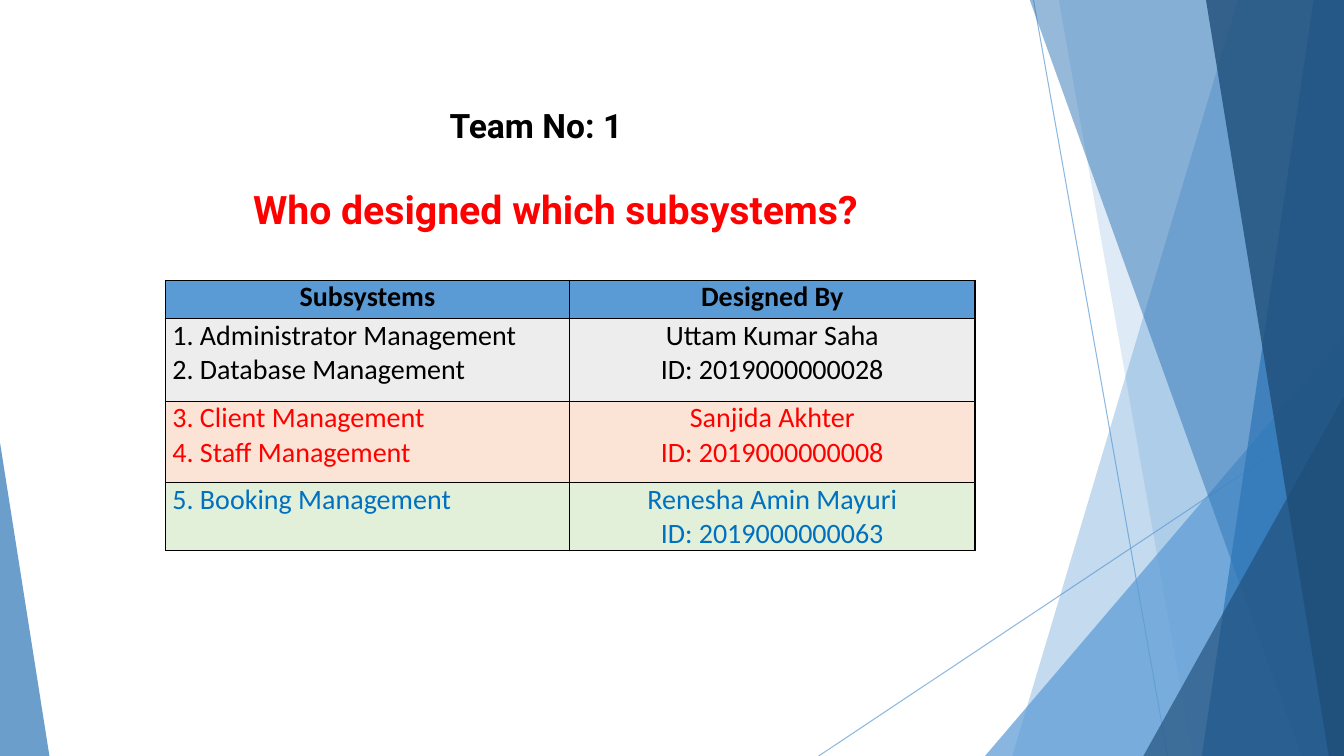
"""Build the slide that shows which team member designed which subsystems."""
from lxml import etree
from pptx import Presentation
from pptx.dml.color import RGBColor
from pptx.enum.shapes import MSO_CONNECTOR, MSO_SHAPE
from pptx.enum.text import MSO_ANCHOR, MSO_AUTO_SIZE, PP_ALIGN
from pptx.oxml.ns import qn
from pptx.util import Pt

PX = 9144
WIDTH, HEIGHT = 1333, 750
TITLE_ONLY = 5
STRAIGHT = MSO_CONNECTOR.STRAIGHT
TRIANGLE = MSO_SHAPE.ISOSCELES_TRIANGLE
LEFT, CENTER = PP_ALIGN.LEFT, PP_ALIGN.CENTER
TOP = MSO_ANCHOR.TOP
GROW = MSO_AUTO_SIZE.SHAPE_TO_FIT_TEXT


def paint(fill, color, opacity=100):
    fill.solid()
    fill.fore_color.rgb = RGBColor.from_string(color)
    if opacity < 100:
        node = fill.fore_color._xFill.find(qn("a:srgbClr"))
        etree.SubElement(node, qn("a:alpha"), val=str(opacity * 1000))


def write(frame, text, size=20, font="Calibri", color="000000", bold=False, align=LEFT):
    frame.vertical_anchor = TOP
    for index, line in enumerate(text.split("\n")):
        para = frame.add_paragraph() if index else frame.paragraphs[0]
        para.alignment = align
        span = para.add_run()
        span.text = line
        span.font.size = Pt(size)
        span.font.name = font
        span.font.bold = bold
        paint(span.font.fill, color)


deck = Presentation()
deck.slide_width, deck.slide_height = WIDTH * PX, HEIGHT * PX
page = deck.slides.add_slide(deck.slide_layouts[TITLE_ONLY])
shapes = page.shapes

for ends in [(1025, 0, 1158, 750), (1333, 403, 812, 750)]:
    ray = shapes.add_connector(STRAIGHT, *[end * PX for end in ends])
    ray.line.width = Pt(0.75)
    paint(ray.line.fill, "5B9BD5", 70)
    etree.SubElement(ray._element.spPr, qn("a:effectLst"))

facets = [
    ("band", (1228, 1004), "5B9BD5", 36),
    ("band", (1050, 1183), "5B9BD5", 20),
    ("triangle", (977, 333, 356, 417, 1), "5B9BD5", 72),
    ("band", (1021, 1291), "2E75B6", 50),
    ("band", (1303, 1192), "2E75B6", 70),
    ("band", (1196, 1318), "1F4E79", 80),
    ("triangle", (1134, 393, 199, 357, 1), "1F4E79", 66),
    ("triangle", (0, 439, 49, 311, 0), "2E75B6", 70),
]
for kind, place, color, opacity in facets:
    if kind == "band":
        top_x, bottom_x = place
        builder = shapes.build_freeform(top_x, -1, scale=PX)
        builder.add_line_segments([(WIDTH, -1), (WIDTH, HEIGHT), (bottom_x, HEIGHT)])
        facet = builder.convert_to_shape()
    else:
        *bounds, apex = place
        facet = shapes.add_shape(TRIANGLE, *[length * PX for length in bounds])
        facet.adjustments[0] = apex
    facet.shadow.inherit = False
    facet.line.fill.background()
    paint(facet.fill, color, opacity)

table_rows = [
    (38, "5B9BD5", "000000", "Subsystems", "Designed By"),
    (82, "EDEDED", "000000", "1. Administrator Management\n2. Database Management",
     "Uttam Kumar Saha\nID: 2019000000028"),
    (81, "FBE4D5", "FF0000", "3. Client Management\n4. Staff Management",
     "Sanjida Akhter\nID: 2019000000008"),
    (67, "E2EFD9", "0070C0", "5. Booking Management",
     "Renesha Amin Mayuri\nID: 2019000000063"),
]
table = shapes.add_table(4, 2, 164 * PX, 278 * PX, 803 * PX, 268 * PX).table
table.columns[0].width, table.columns[1].width = 401 * PX, 402 * PX
for row_index, (height, back, color, *texts) in enumerate(table_rows):
    table.rows[row_index].height = height * PX
    header = row_index == 0
    for column_index, text in enumerate(texts):
        cell = table.cell(row_index, column_index)
        cell.margin_left = cell.margin_right = 7 * PX
        cell.margin_top = cell.margin_bottom = 0
        align = CENTER if header or column_index else LEFT
        write(cell.text_frame, text, color=color, bold=header, align=align)
        properties = cell._tc.get_or_add_tcPr()
        for side in ("lnL", "lnR", "lnT", "lnB"):
            border = etree.SubElement(properties, qn(f"a:{side}"), w=str(Pt(1)))
            solid = etree.SubElement(border, qn("a:solidFill"))
            etree.SubElement(solid, qn("a:srgbClr"), val="000000")
        paint(cell.fill, back)

team = shapes.add_textbox(436 * PX, 99 * PX, 278 * PX, 50 * PX)
team.text_frame.word_wrap = True
team.text_frame.auto_size = GROW
write(team.text_frame, "Team No: 1", size=24, font="Roboto", bold=True)

title = shapes.title
title.left, title.top, title.width, title.height = 241 * PX, 179 * PX, 631 * PX, 57 * PX
title.text_frame.word_wrap = False
title.text_frame.auto_size = GROW
write(title.text_frame, "Who designed which subsystems?", size=28, font="Roboto",
      color="FF0000", bold=True)

deck.save("out.pptx")
